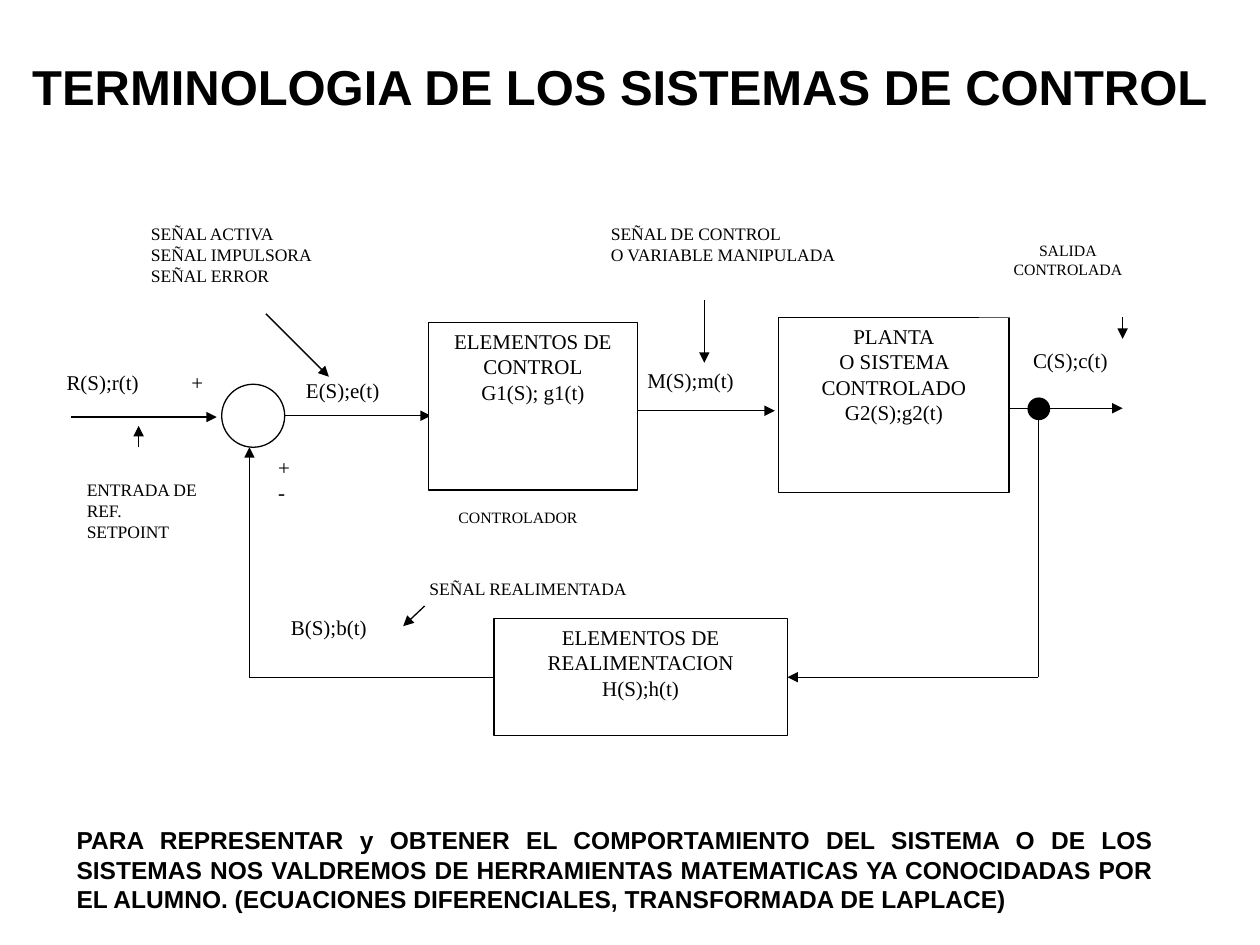
"""Builds a slide with the block diagram of a closed-loop control system."""
from dataclasses import dataclass

import lxml.etree
import pptx
import pptx.dml.color
import pptx.enum.shapes
import pptx.enum.text
import pptx.oxml.ns
import pptx.util

Inches = pptx.util.Inches
ALIGN = pptx.enum.text.PP_ALIGN
ANCHOR = pptx.enum.text.MSO_ANCHOR
SHAPE = pptx.enum.shapes.MSO_SHAPE


@dataclass(frozen=True)
class Theme:
    """Colours, fonts and sizes shared by the whole slide."""
    ink: pptx.dml.color.RGBColor = pptx.dml.color.RGBColor(0, 0, 0)
    paper: pptx.dml.color.RGBColor = pptx.dml.color.RGBColor(255, 255, 255)
    heading_font: str = "Arial"
    diagram_font: str = "Times New Roman"
    title: int = 28
    closing: int = 14
    signal: int = 12
    note: int = 10
    small: int = 9
    line: float = 0.75


@dataclass(frozen=True)
class Box:
    """A rectangle in inches that places parts relative to its corner."""
    left: float
    top: float
    width: float
    height: float

    def inner(self, left, top, width, height):
        """Return a part of this box as a box on the slide."""
        return Box(self.left + left, self.top + top, width, height)

    def lengths(self):
        """Return left, top, width and height as lengths."""
        return [Inches(value) for value in (self.left, self.top, self.width, self.height)]


THEME = Theme()


def write_text(shape, text, size=THEME.signal, font=THEME.diagram_font, bold=False,
               align=ALIGN.LEFT, anchor=ANCHOR.TOP):
    """Fill a shape with one paragraph for each line of text."""
    frame = shape.text_frame
    frame.word_wrap = True
    frame.vertical_anchor = anchor
    frame.text = text
    for paragraph in frame.paragraphs:
        paragraph.alignment = align
        paragraph.font.size = pptx.util.Pt(size)
        paragraph.font.name = font
        paragraph.font.bold = bold
        paragraph.font.color.rgb = THEME.ink


def add_figure(slide, box, kind=SHAPE.RECTANGLE, fill=THEME.paper, outlined=True):
    """Add a flat preset shape."""
    shape = slide.shapes.add_shape(kind, *box.lengths())
    shape.shadow.inherit = False
    shape.fill.solid()
    shape.fill.fore_color.rgb = fill
    if outlined:
        shape.line.color.rgb = THEME.ink
        shape.line.width = pptx.util.Pt(THEME.line)
    else:
        shape.line.fill.background()
    return shape


def add_block(slide, box, text):
    """Add an outlined block of the diagram."""
    block = add_figure(slide, box)
    write_text(block, text, align=ALIGN.CENTER)
    return block


def add_label(slide, box, text, **text_format):
    """Add a label on a plain background."""
    write_text(add_figure(slide, box, outlined=False), text, **text_format)


def add_line(slide, box, start_x, start_y, end_x, end_y, arrow=True):
    """Add a straight connector between two points of a box."""
    line = slide.shapes.add_connector(
        pptx.enum.shapes.MSO_CONNECTOR.STRAIGHT,
        Inches(box.left + start_x), Inches(box.top + start_y),
        Inches(box.left + end_x), Inches(box.top + end_y))
    line.line.color.rgb = THEME.ink
    line.line.width = pptx.util.Pt(THEME.line)
    if arrow:
        outline = line.line._get_or_add_ln()
        lxml.etree.SubElement(outline, pptx.oxml.ns.qn("a:tailEnd"), type="triangle")
    lxml.etree.SubElement(line._element.spPr, pptx.oxml.ns.qn("a:effectLst"))
    return line


def add_heading(slide, box, text, **text_format):
    """Add a bold text box, vertically centred."""
    write_text(slide.shapes.add_textbox(*box.lengths()), text, font=THEME.heading_font,
               bold=True, anchor=ANCHOR.MIDDLE, **text_format)


def add_feedback_path(slide, box):
    """Draw the feedback block and the lines returning to the summing point."""
    block_box = box.inner(2.02, 1.71, 2.33, 0.93)
    block = add_block(slide, block_box, "ELEMENTOS DE REALIMENTACION\nH(S);h(t)")
    axis = block_box.top + block_box.height / 2 - box.top
    output_x, return_x = 6.34, 0.08
    add_line(slide, box, output_x, axis, 4.35, axis).end_connect(block, 3)
    add_line(slide, box, output_x, axis, output_x, 0.01, arrow=False)
    add_line(slide, box, 2.02, axis, return_x, axis, arrow=False).begin_connect(block, 1)
    add_line(slide, box, return_x, axis, return_x, 0.35)
    add_label(slide, box.inner(0.31, 1.63, 1.19, 0.37), "B(S);b(t)")


def add_forward_path(slide, box):
    """Draw the signals and blocks from the reference to the output."""
    for text, *place in (
            ("M(S);m(t)", 4.64, 0.37, 1.19, 0.37),
            ("E(S);e(t)", 1.93, 0.45, 1.19, 0.37),
            ("R(S);r(t)", 0.03, 0.38, 1.16, 0.37),
            ("C(S);c(t)", 7.7, 0.21, 1.19, 0.37),
            ("+", 1.02, 0.38, 0.33, 0.37),
            ("+\n-", 1.71, 1.06, 0.29, 0.65)):
        add_label(slide, box.inner(*place), text)
    for start_x, end_x, axis in ((0.16, 1.32, 0.81), (1.86, 3.02, 0.8),
                                 (4.59, 5.75, 0.76), (7.18, 8.51, 0.74)):
        add_line(slide, box, start_x, axis, end_x, axis)
    add_block(slide, box.inner(3, 0.06, 1.66, 1.33), "ELEMENTOS DE CONTROL\nG1(S); g1(t)")
    add_block(slide, box.inner(5.78, 0.02, 1.83, 1.39),
              "PLANTA\nO SISTEMA CONTROLADO\nG2(S);g2(t)")
    add_figure(slide, box.inner(1.36, 0.55, 0.5, 0.5), SHAPE.OVAL)
    add_figure(slide, box.inner(7.76, 0.66, 0.17, 0.17), SHAPE.OVAL, fill=THEME.ink)


def add_annotations(slide, box):
    """Name the signals and point an arrow at each."""
    for text, size, align, place in (
            ("SEÑAL REALIMENTADA", THEME.note, ALIGN.LEFT, (2.81, 2.84, 2.49, 0.33)),
            ("SEÑAL ACTIVA\nSEÑAL IMPULSORA\nSEÑAL ERROR", THEME.note, ALIGN.LEFT,
             (0.6, 0.02, 2.16, 0.83)),
            ("SEÑAL DE CONTROL\nO VARIABLE MANIPULADA", THEME.note, ALIGN.LEFT,
             (4.25, 0.02, 3.16, 0.66)),
            ("CONTROLADOR", THEME.small, ALIGN.LEFT, (3.04, 2.28, 1.54, 0.33)),
            ("ENTRADA DE REF.\nSETPOINT", THEME.note, ALIGN.LEFT, (0.09, 2.05, 1.25, 1.1)),
            ("SALIDA\nCONTROLADA", THEME.small, ALIGN.CENTER, (7.27, 0.16, 1.41, 0.66))):
        add_label(slide, box.inner(*place), text, size=size, align=align)
    for ends in ((2.87, 3.11, 2.7, 3.27), (1.61, 0.79, 2.11, 1.29), (5.09, 0.68, 5.09, 1.18),
                 (0.6, 1.85, 0.6, 1.68), (8.41, 0.82, 8.41, 0.99)):
        add_line(slide, box, *ends)


def main():
    """Build and save the presentation."""
    presentation = pptx.Presentation()
    presentation.slide_width = Inches(10)
    presentation.slide_height = Inches(7.5)
    slide = presentation.slides.add_slide(presentation.slide_layouts[6])
    add_heading(slide, Box(0, 0.06, 9.84, 1.25), "TERMINOLOGIA DE LOS SISTEMAS DE CONTROL",
                size=THEME.title, align=ALIGN.CENTER)
    add_feedback_path(slide, Box(1.9, 3.2, 6.4, 2.7))
    add_forward_path(slide, Box(0.4, 2.5, 8.9, 1.75))
    add_annotations(slide, Box(0.5, 1.7, 8.7, 3.3))
    add_heading(slide, Box(0.51, 6.5, 8.74, 0.8),
                "PARA REPRESENTAR y OBTENER EL COMPORTAMIENTO DEL SISTEMA O DE LOS SISTEMAS "
                "NOS VALDREMOS DE HERRAMIENTAS MATEMATICAS YA CONOCIDADAS POR EL ALUMNO. "
                "(ECUACIONES DIFERENCIALES, TRANSFORMADA DE LAPLACE)",
                size=THEME.closing, align=ALIGN.JUSTIFY)
    presentation.save("out.pptx")


if __name__ == "__main__":
    main()
